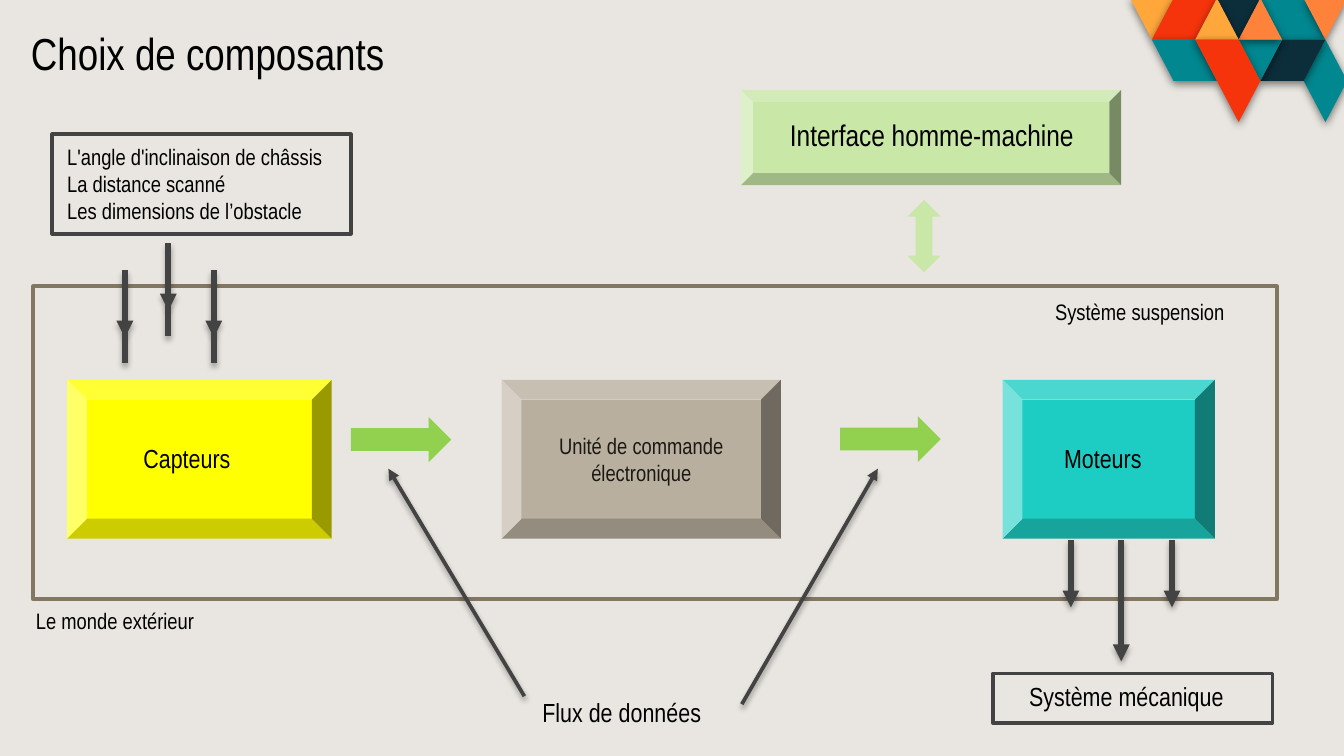
from typing import NamedTuple

from lxml.etree import SubElement
from pptx import Presentation
from pptx.dml.color import RGBColor
from pptx.enum.shapes import MSO_CONNECTOR, MSO_SHAPE as Preset
from pptx.enum.text import MSO_ANCHOR as Anchor, MSO_AUTO_SIZE as AutoSize, PP_ALIGN as Align
from pptx.oxml.ns import qn
from pptx.util import Cm, Pt

FONT = "Arial Narrow"
BACKGROUND = RGBColor(0xE9, 0xE6, 0xE1)
BLACK = RGBColor(0x00, 0x00, 0x00)
DARK_TEXT = RGBColor(0x1A, 0x18, 0x13)
CHARCOAL = RGBColor(0x43, 0x43, 0x43)
BROWN = RGBColor(0x84, 0x77, 0x61)
PALE_GREEN = RGBColor(0xC9, 0xE7, 0xA7)
GREEN = RGBColor(0x92, 0xD0, 0x50)
YELLOW = RGBColor(0xFF, 0xFF, 0x00)
TAUPE = RGBColor(0xB9, 0xAF, 0x9F)
TURQUOISE = RGBColor(0x1D, 0xCD, 0xC3)
AMBER = RGBColor(0xFF, 0xA7, 0x3B)
ORANGE = RGBColor(0xFF, 0x82, 0x3B)
RED = RGBColor(0xF5, 0x34, 0x0B)
TEAL = RGBColor(0x01, 0x87, 0x90)
NAVY = RGBColor(0x0C, 0x2E, 0x3A)


class Box(NamedTuple):
    """Left, top, width and height in centimetres."""
    left: float
    top: float
    width: float
    height: float


class Block(NamedTuple):
    preset: Preset
    box: Box
    fill: RGBColor


class Frame(NamedTuple):
    box: Box
    color: RGBColor


class Label(NamedTuple):
    box: Box
    size: float
    lines: tuple[str, ...]


class Arrow(NamedTuple):
    """Start and end points in centimetres."""
    start: tuple[float, float]
    end: tuple[float, float]
    width: float = 3
    has_head: bool = True


class Tile(NamedTuple):
    """Corners as (column, row) on the mosaic grid."""
    color: RGBColor
    corners: tuple[tuple[int, int], ...]


FRAMES = [
    Frame(Box(0.99, 2.54, 5.64, 1.88), CHARCOAL),
    Frame(Box(0.63, 5.41, 23.5, 5.92), BROWN),
    Frame(Box(18.77, 12.73, 5.28, 0.94), CHARCOAL),
]
BLOCKS = [
    Block(Preset.BEVEL, Box(14, 1.7, 7.19, 1.8), PALE_GREEN),
    Block(Preset.UP_DOWN_ARROW, Box(17.15, 3.78, 0.63, 1.37), PALE_GREEN),
    Block(Preset.RIGHT_ARROW, Box(6.63, 7.88, 1.9, 0.86), GREEN),
    Block(Preset.RIGHT_ARROW, Box(15.88, 7.87, 1.9, 0.86), GREEN),
    Block(Preset.BEVEL, Box(1.27, 7.18, 5, 3), YELLOW),
    Block(Preset.BEVEL, Box(18.95, 7.18, 4.01, 3), TURQUOISE),
]
CONTROL_UNIT = Block(Preset.BEVEL, Box(9.48, 7.18, 5.28, 3), TAUPE)
LABELS = [
    Label(Box(1.02, 2.58, 5.64, 1.88), 12,
          ("L'angle d'inclinaison de châssis", "La distance scanné",
           "Les dimensions de l’obstacle")),
    Label(Box(19.2, 12.73, 5.51, 0.86), 14, ("Système mécanique",)),
    Label(Box(14.68, 2.08, 6.93, 0.94), 16, ("Interface homme-machine",)),
    Label(Box(19.69, 5.51, 5.28, 0.76), 12, ("Système suspension",)),
    Label(Box(0.43, 11.36, 5.97, 0.76), 12, ("Le monde extérieur",)),
    Label(Box(10, 13.03, 4.8, 0.86), 14, ("Flux de données",)),
    Label(Box(2.46, 8.23, 4.57, 0.86), 14, ("Capteurs",)),
    Label(Box(19.86, 8.23, 4.01, 0.86), 14, ("Moteurs",)),
]

# Mosaic grid, in centimetres
MOSAIC_LEFT, MOSAIC_TOP = 21.36, -0.03
COLUMN_STEP, ROW_STEP = 0.41, 0.78
TILES = [
    Tile(AMBER, ((0, 0), (1, 1), (2, 0))),
    Tile(RED, ((1, 1), (3, 1), (4, 0), (2, 0))),
    Tile(TEAL, ((6, 0), (7, 1), (9, 1), (8, 0))),
    Tile(ORANGE, ((8, 0), (9, 1), (10, 0))),
    Tile(NAVY, ((4, 0), (5, 1), (6, 0))),
    Tile(TEAL, ((1, 1), (2, 2), (4, 2), (3, 1))),
    Tile(TEAL, ((8, 2), (9, 3), (10, 2), (9, 1))),
    Tile(NAVY, ((6, 2), (8, 2), (9, 1), (7, 1))),
    Tile(TEAL, ((5, 1), (6, 2), (7, 1))),
    Tile(ORANGE, ((5, 1), (7, 1), (6, 0))),
    Tile(AMBER, ((3, 1), (5, 1), (4, 0))),
    Tile(RED, ((3, 1), (5, 3), (6, 2), (5, 1))),
]


def add_shadow(shape, alpha: int, blur: float, distance: float) -> None:
    effects = SubElement(shape.element.spPr, qn("a:effectLst"))
    shadow = SubElement(effects, qn("a:outerShdw"), blurRad=str(Pt(blur)),
                        dist=str(Pt(distance)), dir="5400000", rotWithShape="0")
    color = SubElement(shadow, qn("a:srgbClr"), val=str(BLACK))
    SubElement(color, qn("a:alpha"), val=str(alpha * 1000))


def add_block(slide, block: Block):
    shape = slide.shapes.add_shape(block.preset, *map(Cm, block.box))
    shape.shadow.inherit = False
    shape.fill.solid()
    shape.fill.fore_color.rgb = block.fill
    shape.line.fill.background()
    return shape


def add_frame(slide, frame: Frame) -> None:
    shape = slide.shapes.add_shape(Preset.RECTANGLE, *map(Cm, frame.box))
    shape.shadow.inherit = False
    shape.fill.background()
    shape.line.color.rgb = frame.color
    shape.line.width = Pt(2)


def write_lines(text_frame, lines: tuple[str, ...], size: float,
                color: RGBColor = BLACK, align: Align = Align.LEFT) -> None:
    text_frame.word_wrap = True
    for index, line in enumerate(lines):
        paragraph = text_frame.add_paragraph() if index else text_frame.paragraphs[0]
        paragraph.alignment = align
        run = paragraph.add_run()
        run.text = line
        run.font.name = FONT
        run.font.size = Pt(size)
        run.font.color.rgb = color


def add_label(slide, label: Label) -> None:
    shape = slide.shapes.add_textbox(*map(Cm, label.box))
    write_lines(shape.text_frame, label.lines, label.size)


def add_arrow(slide, arrow: Arrow) -> None:
    connector = slide.shapes.add_connector(
        MSO_CONNECTOR.STRAIGHT, *map(Cm, arrow.start + arrow.end))
    connector.line.color.rgb = CHARCOAL
    connector.line.width = Pt(arrow.width)
    if arrow.has_head:
        SubElement(connector.element.spPr.find(qn("a:ln")), qn("a:tailEnd"), type="triangle")
    add_shadow(connector, 35, 3.1, 1.8)


def add_tile(slide, tile: Tile) -> None:
    points = [(Cm(MOSAIC_LEFT + column * COLUMN_STEP), Cm(MOSAIC_TOP + row * ROW_STEP))
              for column, row in tile.corners]
    builder = slide.shapes.build_freeform(*points[0], scale=1.0)
    builder.add_line_segments(points[1:], close=True)
    shape = builder.convert_to_shape()
    shape.fill.solid()
    shape.fill.fore_color.rgb = tile.color
    shape.line.fill.background()
    add_shadow(shape, 50, 4.5, 1.5)


def add_title(slide, text: str) -> None:
    title = slide.shapes.title
    title.left, title.top, title.width, title.height = map(Cm, Box(0.33, 0.36, 10.39, 1.27))
    title.text_frame.vertical_anchor = Anchor.TOP
    title.text_frame.auto_size = AutoSize.NONE
    write_lines(title.text_frame, (text,), 24)


def main() -> None:
    presentation = Presentation()
    presentation.slide_width, presentation.slide_height = Cm(25.4), Cm(14.29)
    slide = presentation.slides.add_slide(presentation.slide_layouts[5])
    slide.background.fill.solid()
    slide.background.fill.fore_color.rgb = BACKGROUND
    add_title(slide, "Choix de composants")

    # Frames and blocks
    for frame in FRAMES:
        add_frame(slide, frame)
    for block in BLOCKS:
        add_block(slide, block)
    control_unit = add_block(slide, CONTROL_UNIT)
    control_unit.text_frame.vertical_anchor = Anchor.MIDDLE
    write_lines(control_unit.text_frame, ("Unité de commande électronique",), 12,
                DARK_TEXT, Align.CENTER)

    # Motor outputs, sensor inputs and data flow pointers
    for x, bottom in ((20.24, 11.48), (21.19, 12.5), (22.15, 11.48)):
        add_arrow(slide, Arrow((x, 10.21), (x, bottom)))
    for x, top in ((2.36, 5.11), (3.18, 4.6), (4.04, 5.11)):
        add_arrow(slide, Arrow((x, top), (x, top + 1.27)))
        add_arrow(slide, Arrow((x, top + 1.16), (x, top + 1.76), has_head=False))
    add_arrow(slide, Arrow((9.91, 13.16), (7.34, 8.86), width=2))
    add_arrow(slide, Arrow((14.02, 13.31), (16.59, 8.86), width=2))

    # Labels and corner mosaic
    for label in LABELS:
        add_label(slide, label)
    for tile in TILES:
        add_tile(slide, tile)
    presentation.save("out.pptx")


if __name__ == "__main__":
    main()
